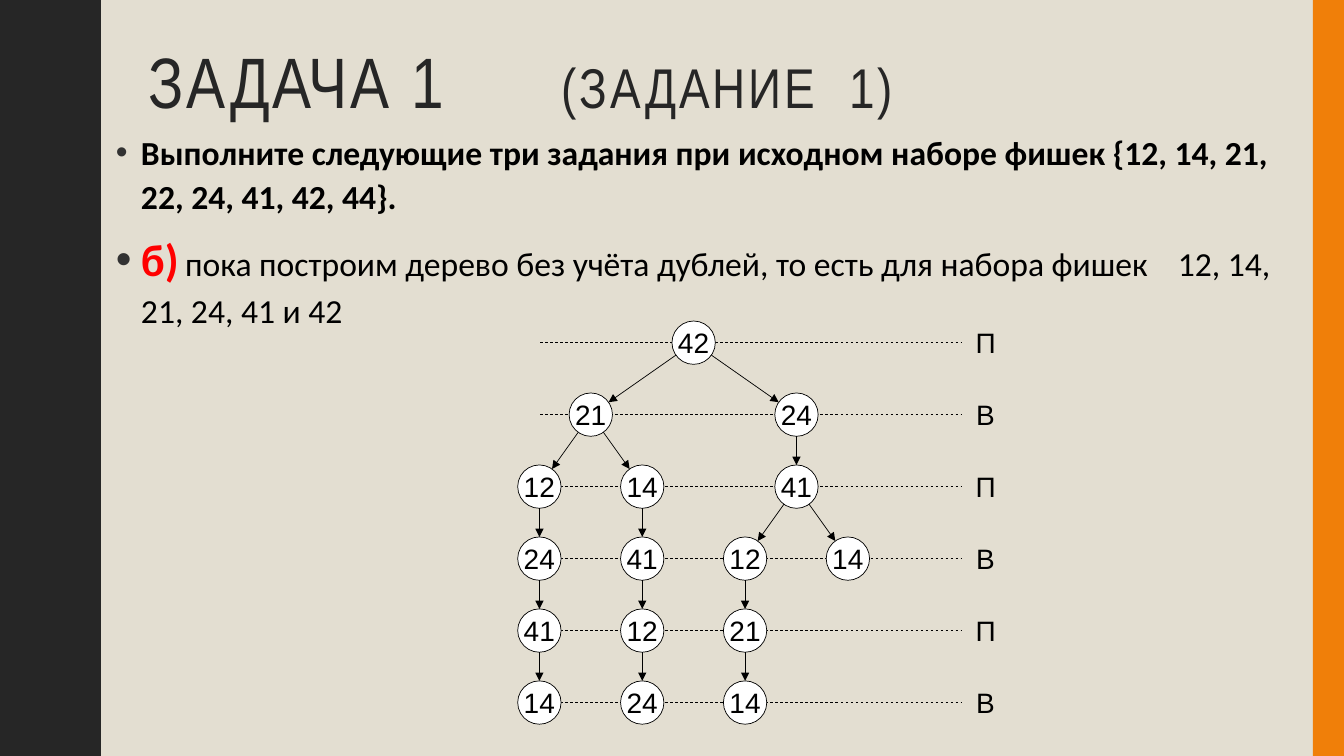
import math

import lxml.etree
import pptx
import pptx.dml.color
import pptx.enum.dml
import pptx.enum.shapes
import pptx.enum.text
import pptx.oxml.ns
import pptx.util

Inches = pptx.util.Inches
Pt = pptx.util.Pt
qn = pptx.oxml.ns.qn

BLACK = "000000"
DARK = "262626"
DIAMETER = 0.43
FIRST_COLUMN, COLUMN_STEP = 5.35, 0.51
FIRST_LEVEL, LAST_LEVEL = 3.4, 6.97
LEVEL_LABELS = "ПВПВПВ"

# Each node is (chip, column, children).
TREE = (42, 3, [
    (21, 1, [
        (12, 0, [(24, 0, [(41, 0, [(14, 0, [])])])]),
        (14, 2, [(41, 2, [(12, 2, [(24, 2, [])])])]),
    ]),
    (24, 5, [
        (41, 5, [
            (12, 4, [(21, 4, [(14, 4, [])])]),
            (14, 6, []),
        ]),
    ]),
])


def color(hex_code):
    return pptx.dml.color.RGBColor.from_string(hex_code)


def column_x(column):
    return FIRST_COLUMN + column * COLUMN_STEP


def level_y(level):
    return FIRST_LEVEL + level * (LAST_LEVEL - FIRST_LEVEL) / (len(LEVEL_LABELS) - 1)


def paint(shape, fill):
    shape.shadow.inherit = False
    shape.fill.solid()
    shape.fill.fore_color.rgb = color(fill)
    shape.line.fill.background()


def add_run(paragraph, text, size, font, hex_code=BLACK, bold=False, spacing=0):
    """Add one run; spacing is the extra width after each letter, in points."""
    run = paragraph.add_run()
    run.text = text
    run.font.size = Pt(size)
    run.font.name = font
    run.font.bold = bold
    run.font.color.rgb = color(hex_code)
    if spacing:
        run.font._element.set("spc", str(spacing * 100))


def add_text_box(slide, left, top, width, height):
    frame = slide.shapes.add_textbox(
        Inches(left), Inches(top), Inches(width), Inches(height)).text_frame
    frame.word_wrap = True
    return frame


def center_text(frame, text):
    frame.margin_left = frame.margin_right = 0
    frame.margin_top = frame.margin_bottom = 0
    frame.vertical_anchor = pptx.enum.text.MSO_ANCHOR.MIDDLE
    frame.word_wrap = False
    paragraph = frame.paragraphs[0]
    paragraph.alignment = pptx.enum.text.PP_ALIGN.CENTER
    add_run(paragraph, text, 20, "Arial")


def format_bullet(paragraph):
    paragraph.line_spacing = 1.1
    paragraph.space_before = Pt(7)
    properties = paragraph._p.get_or_add_pPr()
    properties.set("marL", str(Inches(0.25)))
    properties.set("indent", str(Inches(-0.25)))
    bullet_color = lxml.etree.SubElement(properties, qn("a:buClr"))
    lxml.etree.SubElement(bullet_color, qn("a:srgbClr"), val="323232")
    lxml.etree.SubElement(properties, qn("a:buFont"), typeface="Arial")
    lxml.etree.SubElement(properties, qn("a:buChar"), char="•")


def add_line(slide, start, end):
    connector = slide.shapes.add_connector(
        pptx.enum.shapes.MSO_CONNECTOR.STRAIGHT,
        *(Inches(value) for value in (*start, *end)))
    connector.line.color.rgb = color(BLACK)
    connector.line.width = Pt(0.5)
    lxml.etree.SubElement(connector._element.spPr, qn("a:effectLst"))
    return connector.line


def add_wavy_edge(slide):
    """Draw the dark left band, its wave mirrored from a quarter period."""
    quarter = [(0.78, 0), (0.78, 0.07), (0.79, 0.14), (0.8, 0.2),
               (0.81, 0.25), (0.83, 0.29), (0.85, 0.33)]
    half = quarter + [(1.75 - x, 0.75 - y) for x, y in reversed(quarter)]
    period = half + [(x, 1.5 - y) for x, y in reversed(half)]
    wave = [(x, y + 1.5 * turn) for turn in range(5) for x, y in period]
    builder = slide.shapes.build_freeform(0, 0, scale=Inches(1))
    builder.add_line_segments(wave + [(0, 7.5)], close=True)
    paint(builder.convert_to_shape(), DARK)


def add_side_bar(slide):
    bar = slide.shapes.add_shape(
        pptx.enum.shapes.MSO_SHAPE.RECTANGLE,
        Inches(13.02), 0, Inches(0.31), Inches(7.5))
    paint(bar, "F07F09")


def add_title(slide):
    title = add_text_box(slide, 1.37, 0.42, 11.13, 1.63).paragraphs[0]
    title.line_spacing = 0.9
    for text, size, spacing in (("ЗАДАЧА 1", 51, 2), (" ", 51, 70),
                                ("(ЗАДАНИЕ", 40, 2), (" ", 40, 13), ("1)", 40, 2)):
        add_run(title, text, size, "Arial Narrow", DARK, spacing=spacing)


def add_task(slide):
    frame = add_text_box(slide, 1.05, 1.22, 11.88, 5.96)
    condition, step = frame.paragraphs[0], frame.add_paragraph()
    format_bullet(condition)
    add_run(condition, "Выполните следующие три задания при исходном наборе фишек "
            "{12, 14, 21, 22, 24, 41, 42, 44}.", 24, "Calibri", bold=True)
    format_bullet(step)
    add_run(step, "б)", 32, "Calibri", "FF0000", bold=True)
    add_run(step, " ", 20, "Calibri")
    add_run(step, "пока построим дерево без учёта дублей, то есть для набора фишек",
            24, "Calibri")
    add_run(step, " ", 24, "Calibri", spacing=16)
    add_run(step, "12, 14, 21, 24, 41 и 42", 24, "Calibri")


def add_level(slide, level, label):
    y = level_y(level)
    guide = add_line(slide, (5.36, y), (9.54, y))
    guide.dash_style = pptx.enum.dml.MSO_LINE.DASH
    center_text(add_text_box(slide, 9.57, y - DIAMETER / 2, 0.41, DIAMETER), label)


def add_chip(slide, x, y, number):
    chip = slide.shapes.add_shape(
        pptx.enum.shapes.MSO_SHAPE.OVAL,
        Inches(x - DIAMETER / 2), Inches(y - DIAMETER / 2),
        Inches(DIAMETER), Inches(DIAMETER))
    paint(chip, "FFFFFF")
    chip.line.color.rgb = color(BLACK)
    chip.line.width = Pt(0.5)
    center_text(chip.text_frame, str(number))


def add_arrow(slide, parent, child):
    """Join two chip centres with an arrow from rim to rim."""
    dx, dy = child[0] - parent[0], child[1] - parent[1]
    share = DIAMETER / 2 / math.hypot(dx, dy)
    arrow = add_line(slide, (parent[0] + dx * share, parent[1] + dy * share),
                     (child[0] - dx * share, child[1] - dy * share))
    lxml.etree.SubElement(arrow._get_or_add_ln(), qn("a:tailEnd"), type="triangle")


def add_tree(slide, node, level=0):
    """Draw a node and its subtree, and return the centre of the node."""
    number, column, children = node
    center = column_x(column), level_y(level)
    add_chip(slide, *center, number)
    for child in children:
        add_arrow(slide, center, add_tree(slide, child, level + 1))
    return center


def main():
    presentation = pptx.Presentation()
    presentation.slide_width = Inches(13.33)
    presentation.slide_height = Inches(7.5)
    slide = presentation.slides.add_slide(presentation.slide_layouts[6])
    slide.background.fill.solid()
    slide.background.fill.fore_color.rgb = color("E3DED1")
    add_wavy_edge(slide)
    add_side_bar(slide)
    add_title(slide)
    add_task(slide)
    for level, label in enumerate(LEVEL_LABELS):
        add_level(slide, level, label)
    add_tree(slide, TREE)
    presentation.save("out.pptx")


if __name__ == "__main__":
    main()
